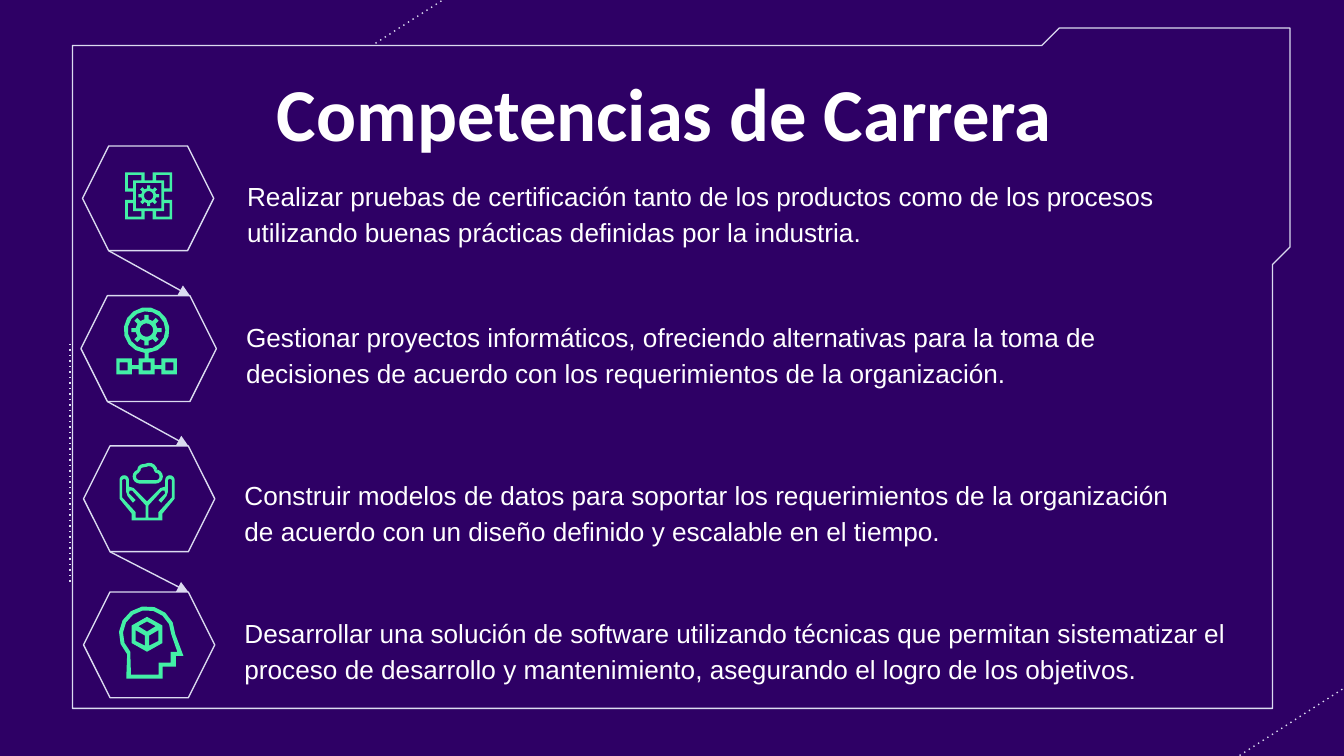
from dataclasses import dataclass
from itertools import pairwise
from math import cos, radians, sin

from lxml import etree
from pptx import Presentation
from pptx.dml.color import RGBColor
from pptx.enum.shapes import MSO_CONNECTOR, MSO_SHAPE
from pptx.enum.text import MSO_ANCHOR, MSO_AUTO_SIZE, PP_ALIGN
from pptx.oxml.ns import qn
from pptx.util import Cm, Pt

STRAIGHT = MSO_CONNECTOR.STRAIGHT
HEXAGON = MSO_SHAPE.HEXAGON
TOP, BOTTOM = MSO_ANCHOR.TOP, MSO_ANCHOR.BOTTOM
LEFT, CENTER = PP_ALIGN.LEFT, PP_ALIGN.CENTER
FIXED = MSO_AUTO_SIZE.NONE


@dataclass(frozen=True)
class Theme:
    """Colours, fonts and sizes of the slide."""
    back: RGBColor = RGBColor(0x2E, 0x00, 0x65)
    edge: RGBColor = RGBColor(0xDB, 0xDB, 0xF0)
    icon: RGBColor = RGBColor(0x43, 0xF0, 0xA6)
    text: RGBColor = RGBColor(0xFF, 0xFF, 0xFF)
    head: str = "Calibri"
    body: str = "Arial"
    big: float = 40
    small: float = 14
    thin: float = 0.75
    grid: float = 2.54 / 100


THEME = Theme()

FRAME = [(20.02, 0.53), (19.69, 0.86), (1.37, 0.86), (1.37, 13.39),
         (24.05, 13.39), (24.05, 5), (24.38, 4.67), (24.38, 0.53)]
DOTS = [(9.83, -0.94, 4.62, 2.41), (27.38, 11.73, 22.17, 15.09), (1.32, 6.5, 1.32, 11.07)]
CELLS = [(1.56, 2.76, 2.48, 1.98), (1.53, 5.59, 2.56, 2),
         (1.58, 8.43, 2.48, 2), (1.58, 11.19, 2.48, 2)]
SKILLS = [
    ((4.42, 2.72, 18.54, 2.21),
     "Realizar pruebas de certificación tanto de los productos como de los procesos "
     "utilizando buenas prácticas definidas por la industria."),
    ((4.4, 5.59, 18.21, 2.01),
     "Gestionar proyectos informáticos, ofreciendo alternativas para la toma de "
     "decisiones de acuerdo con los requerimientos de la organización."),
    ((4.37, 8.74, 18.62, 1.85),
     "Construir modelos de datos para soportar los requerimientos de la organización "
     "de acuerdo con un diseño definido y escalable en el tiempo."),
    ((4.37, 10.61, 19.41, 2.59),
     "Desarrollar una solución de software utilizando técnicas que permitan sistematizar "
     "el proceso de desarrollo y mantenimiento, asegurando el logro de los objetivos."),
]


def add_line(slide, ends, dash=None, arrow=False):
    """Draw a thin line, dashed or with an arrowhead if asked."""
    line = slide.shapes.add_connector(STRAIGHT, *map(Cm, ends))
    line.line.color.rgb = THEME.edge
    line.line.width = Pt(THEME.thin)
    if dash:
        etree.SubElement(line.line._get_or_add_ln(), qn("a:prstDash"), val=dash)
    if arrow:
        etree.SubElement(line.line._get_or_add_ln(), qn("a:tailEnd"), type="triangle")
    etree.SubElement(line._element.spPr, qn("a:effectLst"))


def add_path(slide, loops, fill):
    """Draw one filled shape from closed loops; inner loops are holes."""
    pen = None
    for loop in loops:
        first, *rest = [(Cm(x), Cm(y)) for x, y in loop]
        if pen is None:
            pen = slide.shapes.build_freeform(*first)
        else:
            pen.move_to(*first)
        pen.add_line_segments(rest, close=True)
    shape = pen.convert_to_shape()
    shape.shadow.inherit = False
    shape.fill.solid()
    shape.fill.fore_color.rgb = fill
    return shape


def add_icon(slide, x, y, *parts):
    """Draw each part of an icon on a fine grid about its middle."""
    for part in parts:
        loops = [[(x + a * THEME.grid, y + b * THEME.grid) for a, b in loop]
                 for loop in part]
        add_path(slide, loops, THEME.icon).line.fill.background()


def add_text(holder, box, text, font, size, bold=False, align=LEFT, anchor=BOTTOM):
    """Place and format a placeholder with one paragraph."""
    holder.left, holder.top, holder.width, holder.height = map(Cm, box)
    frame = holder.text_frame
    frame.text = text
    frame.word_wrap = True
    frame.auto_size = FIXED
    frame.vertical_anchor = anchor
    frame.margin_left = frame.margin_right = Cm(0.25)
    frame.margin_top = frame.margin_bottom = Cm(0.25)
    para = frame.paragraphs[0]
    props = para._p.get_or_add_pPr()
    props.set("marL", "0")
    props.set("indent", "0")
    etree.SubElement(props, qn("a:buNone"))
    para.alignment = align
    para.line_spacing = 1.15
    para.space_before = Pt(0)
    para.font.name, para.font.size, para.font.bold = font, Pt(size), bold
    para.font.color.rgb = THEME.text


def arc(x, y, size, start, end):
    """List points along an arc, with angles in degrees."""
    count = max(2, round(abs(end - start) / 24))
    turns = [radians(start + (end - start) * step / count) for step in range(count + 1)]
    return [(x + size * cos(turn), y + size * sin(turn)) for turn in turns]


def ring(size):
    """List points of a circle about the middle."""
    return arc(0, 0, size, 0, 360)[:-1]


def box(x, y, half):
    """List the corners of a square."""
    return [(x - half, y - half), (x + half, y - half),
            (x + half, y + half), (x - half, y + half)]


def flip(points):
    """Mirror points left to right, in reverse order."""
    return [(-x, y) for x, y in reversed(points)]


def spin(points):
    """List the four quarter turns of some points."""
    turns = [points]
    for _ in range(3):
        turns.append([(-y, x) for x, y in turns[-1]])
    return turns


def gear(hub, body, tip, half):
    """Make the loops of a gear with eight teeth."""
    tooth = [(body, -half), (tip, -half), (tip, half), (body, half)]
    edge = []
    for turn in map(radians, range(0, 360, 45)):
        edge += [(x * cos(turn) - y * sin(turn), x * sin(turn) + y * cos(turn))
                 for x, y in tooth]
    return [edge, ring(hub)]


def add_test(slide):
    """Draw a gear in a square with four corner brackets."""
    side = [(-11.5, -3), (-17.5, -3), (-17.5, -17.5), (-3, -17.5), (-3, -11.5)]
    hole = [(-15.5, -15.5), (-5.5, -15.5), (-5.5, -11.5),
            (-11.5, -11.5), (-11.5, -5.5), (-15.5, -5.5)]
    edge = sum(spin(side), [])
    add_icon(slide, 2.81, 3.7, gear(3.5, 5.5, 7.7, 1.2),
             [edge, *spin(hole), box(0, 0, 9.5)])


def add_plan(slide):
    """Draw a ringed gear above three linked boxes."""
    half = [(1.5, 21), (6, 21), (6, 26), (11, 26), (11, 21), (22.5, 21),
            (22.5, 33), (11, 33), (11, 29), (6, 29), (6, 33)]
    edge = arc(0, 0, 17, 95, 445) + half + flip(half)
    holes = [box(x, 27, 3) for x in (-17, 0, 17)]
    add_icon(slide, 2.77, 6.24, [edge, ring(14), *holes], gear(5, 8, 11.3, 1.5))


def cloud(grow):
    """List points of a cloud, widened by a margin."""
    lobes = [(-5.5, -11.5, 4, 90, 250), (-3, -16.5, 3, 170, 270),
             (1.5, -15.5, 5, 240, 360), (6.5, -11.5, 4, 270, 450)]
    return sum([arc(x, y, size + grow, *turn) for x, y, size, *turn in lobes], [])


def add_care(slide):
    """Draw two hands under a cloud."""
    half = [(11.5, 21), (11.5, 16), (20.5, 5), *arc(17, -9, 3.5, 0, -180),
            (13.5, -4), (10, -3), (0, 7)]
    hole = [(1, 10), (11, -1), (13, -1), (13.5, 1), (8.5, 6), (10.5, 8), (14.5, 3),
            (15.5, 0), (15.5, -9), (17, -10), (18.5, -9), (18.5, 4), (8.5, 15),
            (8.5, 19), (1, 19)]
    add_icon(slide, 2.78, 9.3, [half + flip(half)[1:], hole, flip(hole)],
             [cloud(1.25), cloud(-1.25)])


def add_mind(slide):
    """Draw a head with a cube inside."""
    edge = arc(0, 0, 21, 135, 360) + [(27, 16), (21.5, 16), (21.5, 24), (11.5, 24),
                                      (11.5, 33), (-15.5, 33)]
    hole = arc(0, 0, 18, 134, 360) + [(22.5, 13), (17.5, 13), (17.5, 21), (8.5, 21),
                                      (8.5, 30), (-12, 30)]
    half = [(0, -13), (11.5, -6.5), (11.5, 6.5), (0, 13)]
    lid = [(0, -9.5), (6.5, -6), (0, -2), (-6.5, -6)]
    face = [(8.5, -3), (8.5, 5), (1.5, 8.5), (1.5, 1)]
    add_icon(slide, 2.78, 11.99, [edge, hole],
             [half + flip(half)[1:-1], lid, face, flip(face)])


def add_chain(slide):
    """Draw the hexagons and the arrows between them."""
    for cell in CELLS:
        shape = slide.shapes.add_shape(HEXAGON, *map(Cm, cell))
        shape.shadow.inherit = False
        shape.fill.background()
        shape.line.color.rgb = THEME.edge
        shape.line.width = Pt(THEME.thin)
    for (left, top, _, tall), (x, y, wide, high) in pairwise(CELLS):
        ends = left + tall / 4, top + tall, x + wide - high / 4, y
        add_line(slide, ends, arrow=True)


def main():
    """Build the slide and save it."""
    deck = Presentation()
    deck.slide_width, deck.slide_height = Cm(25.4), Cm(14.29)
    slide = deck.slides.add_slide(deck.slide_layouts.get_by_name("Comparison"))
    slide.background.fill.solid()
    slide.background.fill.fore_color.rgb = THEME.back
    title, *bodies = slide.placeholders
    for ends in DOTS:
        add_line(slide, ends, dash="dot")
    frame = add_path(slide, [FRAME], THEME.back)
    frame.line.color.rgb = THEME.edge
    frame.line.width = Pt(THEME.thin)
    for holder in (title, *bodies):
        slide.shapes._spTree.append(holder._element)
    add_text(title, (2.01, 0.76, 21.41, 2.21), "Competencias de Carrera ",
             THEME.head, THEME.big, True, CENTER, TOP)
    for body, (place, text) in zip(bodies, SKILLS):
        add_text(body, place, text, THEME.body, THEME.small)
    add_chain(slide)
    for draw in (add_test, add_plan, add_care, add_mind):
        draw(slide)
    deck.save("out.pptx")


if __name__ == "__main__":
    main()
